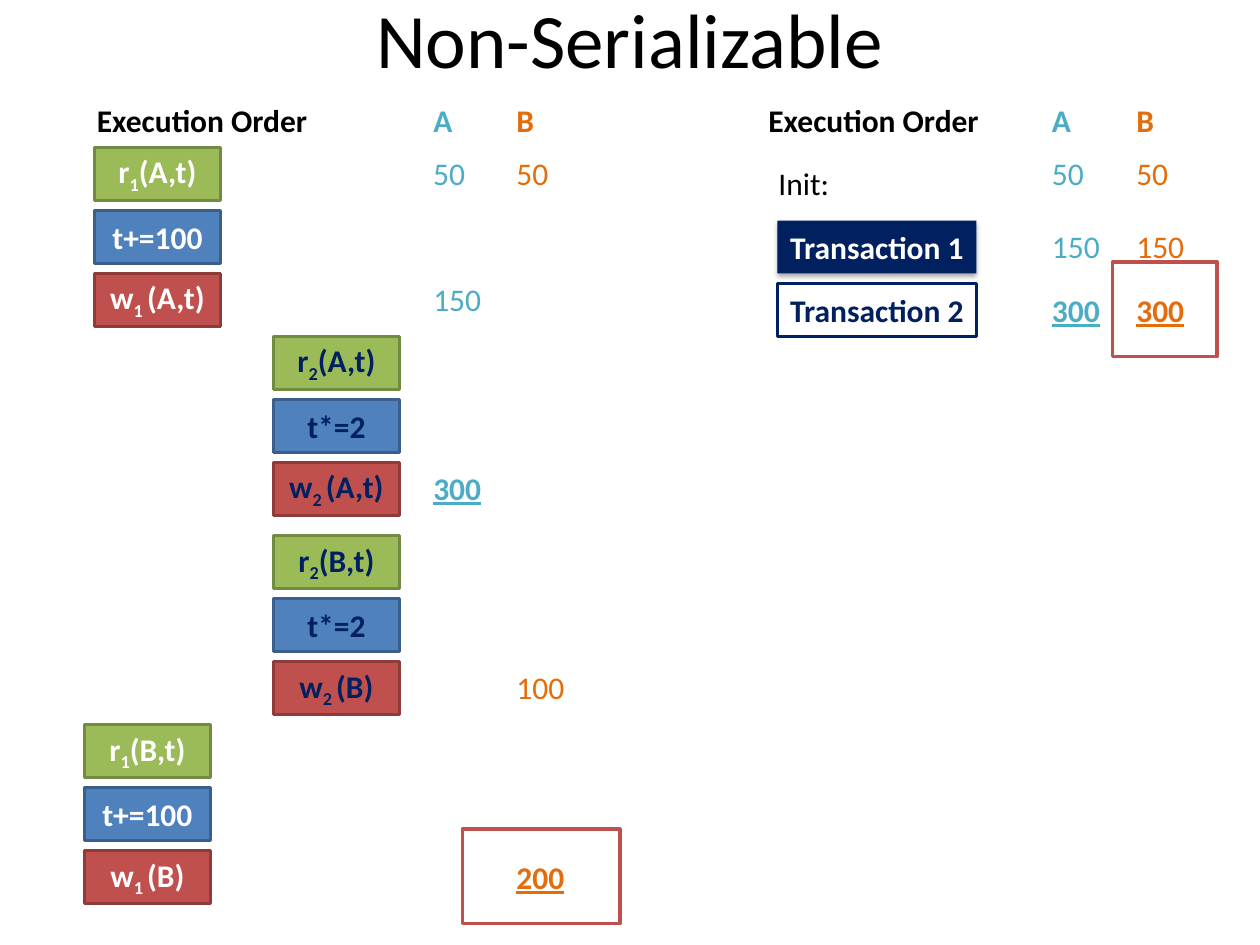
"""Build a slide showing a non-serializable schedule of two transactions."""
from dataclasses import dataclass

import lxml.etree
import pptx
import pptx.dml.color
import pptx.enum.shapes
import pptx.enum.text
import pptx.oxml.ns
import pptx.util

Inches = pptx.util.Inches
COLORS = {
    "black": "000000", "white": "FFFFFF", "navy": "002060",
    "read": "9BBB59", "read_line": "738A42",
    "change": "4F81BD", "change_line": "3A5F8C",
    "write": "C0504D", "write_line": "8E3B39",
    "A": "4BACC6", "B": "E46C0A",
}
STEP_PITCH = 0.5
BOX_HEIGHT = 0.42
LABEL_HEIGHT = 0.4


@dataclass
class Label:
    text: str
    left: float
    top: float
    width: float
    color: str = "black"
    bold: bool = False
    underline: bool = False


@dataclass
class StepGroup:
    left: float
    top: float
    transaction: int
    item: str


@dataclass
class Box:
    left: float
    top: float
    width: float
    height: float
    fill: str | None
    line: str | None


def rgb(name: str) -> pptx.dml.color.RGBColor:
    return pptx.dml.color.RGBColor.from_string(COLORS[name])


def style_paragraph(paragraph, color: str, bold: bool, size: int = 18) -> None:
    paragraph.font.name = "Calibri"
    paragraph.font.size = pptx.util.Pt(size)
    paragraph.font.bold = bold
    paragraph.font.color.rgb = rgb(color)


def add_label(slide, label: Label) -> None:
    shape = slide.shapes.add_textbox(
        Inches(label.left), Inches(label.top), Inches(label.width), Inches(LABEL_HEIGHT))
    shape.text_frame.word_wrap = False
    paragraph = shape.text_frame.paragraphs[0]
    paragraph.text = label.text
    style_paragraph(paragraph, label.color, label.bold)
    paragraph.font.underline = label.underline


def add_box(slide, box: Box):
    shape = slide.shapes.add_shape(
        pptx.enum.shapes.MSO_SHAPE.RECTANGLE,
        Inches(box.left), Inches(box.top), Inches(box.width), Inches(box.height))
    shape.shadow.inherit = False
    if box.fill:
        shape.fill.solid()
        shape.fill.fore_color.rgb = rgb(box.fill)
    else:
        shape.fill.background()
    if box.line:
        shape.line.color.rgb = rgb(box.line)
        shape.line.width = pptx.util.Pt(2)
    else:
        shape.line.fill.background()
    return shape


def write_centered(shape, parts: list[str], color: str) -> None:
    """Write centred bold text whose second part, if any, is a subscript."""
    shape.text_frame.vertical_anchor = pptx.enum.text.MSO_ANCHOR.MIDDLE
    paragraph = shape.text_frame.paragraphs[0]
    paragraph.alignment = pptx.enum.text.PP_ALIGN.CENTER
    style_paragraph(paragraph, color, True)
    for index, part in enumerate(parts):
        run = paragraph.add_run()
        run.text = part
        if index == 1:
            run._r.get_or_add_rPr().set("baseline", "-25000")


def add_step_group(slide, group: StepGroup) -> None:
    number = str(group.transaction)
    color = "white" if group.transaction == 1 else "navy"
    change = "t+=100" if group.transaction == 1 else "t*=2"
    written = "(A,t)" if group.item == "A" else "(B)"
    steps = [
        ("read", ["r", number, f"({group.item},t)"]),
        ("change", [change]),
        ("write", ["w", number + " ", written]),
    ]
    for index, (kind, parts) in enumerate(steps):
        top = group.top + index * STEP_PITCH
        box = Box(group.left, top, 1, BOX_HEIGHT, kind, kind + "_line")
        write_centered(add_box(slide, box), parts, color)


def add_shadow(shape) -> None:
    effects = shape._element.spPr.find(pptx.oxml.ns.qn("a:effectLst"))
    shadow = lxml.etree.SubElement(
        effects, pptx.oxml.ns.qn("a:outerShdw"),
        blurRad=str(pptx.util.Pt(3.1)), dist=str(pptx.util.Pt(1.8)),
        dir="5400000", rotWithShape="0")
    color = lxml.etree.SubElement(
        shadow, pptx.oxml.ns.qn("a:srgbClr"), val=COLORS["black"])
    lxml.etree.SubElement(color, pptx.oxml.ns.qn("a:alpha"), val="35000")


def add_title(slide, text: str) -> None:
    shape = slide.shapes.add_textbox(Inches(0.5), Inches(-0.33), Inches(9), Inches(1.25))
    shape.text_frame.word_wrap = True
    shape.text_frame.vertical_anchor = pptx.enum.text.MSO_ANCHOR.MIDDLE
    paragraph = shape.text_frame.paragraphs[0]
    paragraph.text = text
    paragraph.alignment = pptx.enum.text.PP_ALIGN.CENTER
    style_paragraph(paragraph, "black", False, 44)


STEP_GROUPS = [
    StepGroup(0.75, 1.17, 1, "A"),
    StepGroup(2.17, 2.67, 2, "A"),
    StepGroup(2.17, 4.25, 2, "B"),
    StepGroup(0.67, 5.75, 1, "B"),
]
PANELS = [(0.67, {"A": 3.34, "B": 4}), (6, {"A": 8.25, "B": 8.92})]
VALUES = [
    Label("150", 3.34, 2.17, 0.59, "A"),
    Label("300", 3.34, 3.67, 0.59, "A", True, True),
    Label("100", 4, 5.25, 0.59, "B"),
    Label("200", 4, 6.76, 0.59, "B", True, True),
    Label("Init:", 6.08, 1.25, 0.61),
    Label("150", 8.25, 1.75, 0.59, "A"),
    Label("150", 8.92, 1.75, 0.59, "B"),
    Label("300", 8.25, 2.26, 0.59, "A", True, True),
    Label("300", 8.92, 2.26, 0.59, "B", True, True),
]
HIGHLIGHTS = [
    Box(3.67, 6.58, 1.25, 0.75, None, "write"),
    Box(8.83, 2.08, 0.83, 0.75, None, "write"),
]


def main() -> None:
    presentation = pptx.Presentation()
    presentation.slide_width = Inches(10)
    presentation.slide_height = Inches(7.5)
    slide = presentation.slides.add_slide(presentation.slide_layouts[6])
    add_title(slide, "Non-Serializable")
    for group in STEP_GROUPS:
        add_step_group(slide, group)
    first = add_box(slide, Box(6.17, 1.75, 1.58, BOX_HEIGHT, "navy", None))
    add_shadow(first)
    write_centered(first, ["Transaction 1"], "white")
    second = add_box(slide, Box(6.17, 2.25, 1.58, BOX_HEIGHT, "white", "navy"))
    write_centered(second, ["Transaction 2"], "navy")
    for left, columns in PANELS:
        add_label(slide, Label("Execution Order", left, 0.75, 1.88, bold=True))
        for item, column in columns.items():
            add_label(slide, Label(item, column, 0.75, 0.35, item, True))
            add_label(slide, Label("50", column, 1.17, 0.46, item))
    for value in VALUES:
        add_label(slide, value)
    for highlight in HIGHLIGHTS:
        add_box(slide, highlight)
    presentation.save("out.pptx")


main()
